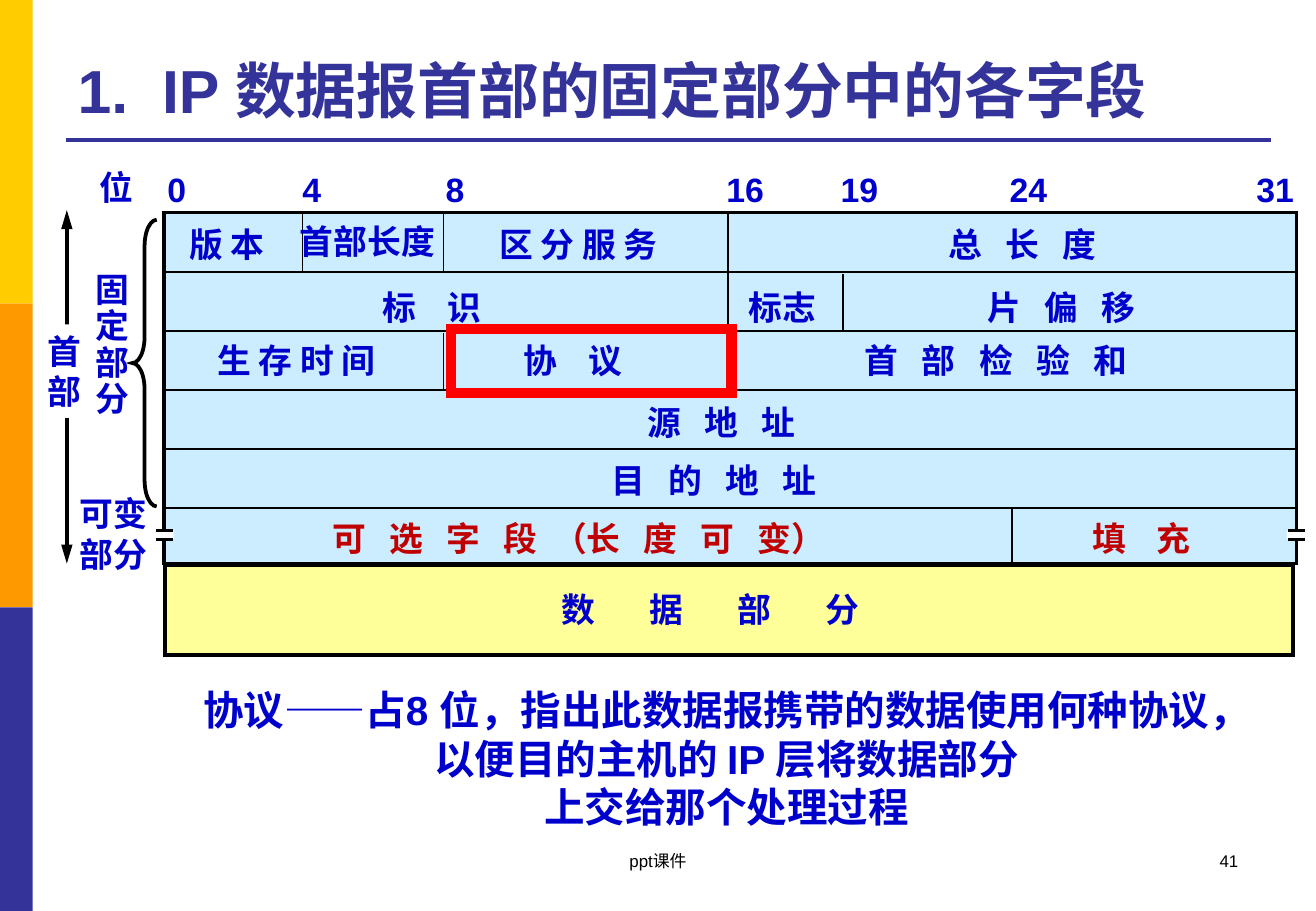
from dataclasses import dataclass
from itertools import cycle, groupby

from lxml.etree import SubElement
from pptx import Presentation
from pptx.dml.color import RGBColor
from pptx.enum.shapes import MSO_CONNECTOR as Link, MSO_SHAPE as Preset
from pptx.enum.text import MSO_ANCHOR as Anchor, MSO_AUTO_SIZE as Fit, PP_ALIGN as Align
from pptx.oxml.ns import qn
from pptx.util import Inches, Pt

COLORS = {
    "gold": "FFCC00", "orange": "FF9900", "indigo": "333399", "blue": "0000CC",
    "sky": "CCECFF", "lemon": "FFFF99", "crimson": "C00000", "red": "FF0000",
    "black": "000000", "white": "FFFFFF",
}


@dataclass
class Block:
    left: float
    top: float
    width: float
    height: float
    fill: str = ""
    line: str = ""
    weight: float = 0
    preset: Preset = Preset.RECTANGLE


@dataclass
class Rule:
    x1: float
    y1: float
    x2: float
    y2: float
    weight: float = 1
    color: str = "black"
    arrows: bool = False


@dataclass
class Label:
    left: float
    top: float
    width: float
    lines: tuple[str, ...]
    height: float = 0.44
    gaps: tuple[float, ...] = (0,)  # extra points on successive spaces, repeating
    color: str = "blue"
    size: float = 20
    bold: bool = True
    align: Align = Align.LEFT
    leading: float = 1.0
    anchor: Anchor = Anchor.TOP
    wrap: bool = False
    fit: Fit = Fit.SHAPE_TO_FIT_TEXT


def rgb(name: str) -> RGBColor:
    return RGBColor.from_string(COLORS[name])


def draw_block(page, block: Block):
    shape = page.shapes.add_shape(block.preset, Inches(block.left), Inches(block.top),
                                  Inches(block.width), Inches(block.height))
    shape.shadow.inherit = False
    if block.fill:
        shape.fill.solid()
        shape.fill.fore_color.rgb = rgb(block.fill)
    else:
        shape.fill.background()
    if block.line:
        shape.line.color.rgb = rgb(block.line)
        shape.line.width = Pt(block.weight)
        SubElement(shape._element.spPr.find(qn("a:ln")), qn("a:miter"), lim="800000")
    else:
        shape.line.fill.background()
    return shape


def draw_rule(page, rule: Rule) -> None:
    link = page.shapes.add_connector(Link.STRAIGHT, Inches(rule.x1), Inches(rule.y1),
                                     Inches(rule.x2), Inches(rule.y2))
    link.line.color.rgb = rgb(rule.color)
    link.line.width = Pt(rule.weight)
    props = link._element.spPr
    if rule.arrows:
        for end in ("a:headEnd", "a:tailEnd"):
            SubElement(props.find(qn("a:ln")), qn(end), type="triangle", len="lg")
    SubElement(props, qn("a:effectLst"))


def split_spans(text: str, gaps: tuple[float, ...]) -> list[tuple[str, float]]:
    """Separate the spaces from the words, so that only spaces are widened."""
    if not any(gaps):
        return [(text, 0)]
    widths = cycle(gaps)
    return [("".join(chars), next(widths) if is_space else 0)
            for is_space, chars in groupby(text, str.isspace)]


def draw_label(page, label: Label) -> None:
    box = page.shapes.add_textbox(Inches(label.left), Inches(label.top),
                                  Inches(label.width), Inches(label.height))
    frame = box.text_frame
    frame_format = {"word_wrap": label.wrap, "auto_size": label.fit,
                    "vertical_anchor": label.anchor}
    for name, value in frame_format.items():
        setattr(frame, name, value)
    font_format = {"name": "Arial", "size": Pt(label.size), "bold": label.bold}
    for index, line in enumerate(label.lines):
        para = frame.add_paragraph() if index else frame.paragraphs[0]
        para.alignment = label.align
        para.line_spacing = label.leading
        for text, gap in split_spans(line, label.gaps):
            span = para.add_run()
            span.text = text
            for name, value in font_format.items():
                setattr(span.font, name, value)
            span.font.color.rgb = rgb(label.color)
            if gap:
                span._r.get_or_add_rPr().set("spc", str(round(gap * 100)))


# Header grid: row lines and the columns where fields meet
ROWS = [2.24 + 0.485 * row for row in range(5)]
GRID = [Rule(1.34, y, 10.68, y) for y in ROWS] + [
    Rule(x, y1, x, y2) for x, y1, y2 in (
        (2.49, 1.76, 2.24), (3.65, 1.76, 2.24), (3.65, 2.74, 3.21),
        (5.99, 1.76, 3.21), (6.94, 2.26, 2.73), (8.33, 4.18, 4.66))]

BIT_MARKS = {"0": 1.28, "4": 2.39, "8": 3.57, "16": 5.88, "19": 6.82, "24": 8.21, "31": 10.24}

# Extra width on a space, in steps of one space
STEP = 4.6
WIDE, WIDER, WIDEST = (2 * STEP,), (3 * STEP,), (6 * STEP,)
FIELDS = [
    Label(1.46, 1.79, 0.84, ("版 本",)),
    Label(2.37, 1.77, 1.32, ("首部长度",)),
    Label(4.01, 1.79, 1.56, ("区 分 服 务",)),
    Label(7.71, 1.79, 1.51, ("总 长 度",), gaps=WIDE),
    Label(3.05, 2.31, 1.07, ("标 识",), gaps=WIDER),
    Label(6.06, 2.31, 0.76, ("标志",)),
    Label(8.03, 2.31, 1.51, ("片 偏 移",), gaps=WIDE),
    Label(1.69, 2.75, 1.56, ("生 存 时 间",)),
    Label(4.21, 2.75, 1.07, ("协 议",), gaps=WIDER),
    Label(7.02, 2.75, 2.54, ("首 部 检 验 和",), gaps=WIDE),
    Label(5.23, 3.26, 1.51, ("源 地 址",), gaps=WIDE),
    Label(4.93, 3.74, 2.02, ("目 的 地 址",), gaps=WIDE),
    Label(2.64, 4.21, 5.2, ("可 选 字 段 （长 度 可 变）",), color="crimson",
          gaps=WIDE * 3 + (STEP,) + WIDE * 3, wrap=True),
    Label(8.89, 4.21, 1.07, ("填 充",), gaps=WIDER, color="crimson"),
    Label(4.52, 4.8, 3.45, ("数 据 部 分",), gaps=WIDEST, wrap=True),
]

SIDE_LABELS = [
    Label(0.72, 1.32, 0.48, ("位",)),
    Label(0.69, 2.2, 0.48, tuple("固定部分"), height=1.31, leading=0.9),
    Label(0.56, 4.01, 0.76, ("可变", "部分"), height=0.77),
    Label(0.29, 2.67, 0.48, tuple("首部"), height=0.77),
]

TEXTS = [
    Label(0.54, 0.21, 9.91, ("1. IP 数据报首部的固定部分中的各字段",), height=0.87, size=36,
          gaps=(10, 0), color="indigo", anchor=Anchor.BOTTOM, wrap=True, fit=Fit.NONE),
    Label(1.46, 5.59, 9.04, ("协议——占8 位，指出此数据报携带的数据使用何种协议，",
                             "以便目的主机的 IP 层将数据部分", "上交给那个处理过程"),
          height=1.31, size=24, align=Align.CENTER, wrap=True),
    Label(3.7, 6.95, 3.43, ("ppt课件",), height=0.5, size=10, bold=False,
          color="black", align=Align.CENTER, wrap=True, fit=Fit.NONE),
    Label(7.76, 6.95, 2.53, ("41",), height=0.5, size=10, bold=False,
          color="black", align=Align.RIGHT, wrap=True, fit=Fit.NONE),
]


def main() -> None:
    deck = Presentation()
    deck.slide_width, deck.slide_height = Inches(10.83), Inches(7.5)
    page = deck.slides.add_slide(deck.slide_layouts[6])

    # Side stripes and title rule
    for index, color in enumerate(("gold", "orange", "indigo")):
        draw_block(page, Block(0, 2.5 * index, 0.27, 2.5, color))
    draw_rule(page, Rule(0.54, 1.15, 10.46, 1.15, 2.25, "indigo"))

    # Datagram header and data part
    draw_block(page, Block(1.35, 1.75, 9.32, 2.89, "sky", "black", 2))
    draw_block(page, Block(1.36, 4.65, 9.28, 0.74, "lemon", "black", 2.25))
    for rule in GRID:
        draw_rule(page, rule)

    # Break marks on the variable-length row
    for left in (1.27, 10.59):
        draw_block(page, Block(left, 4.37, 0.16, 0.07, "white"))
        for y in (4.37, 4.44):
            draw_rule(page, Rule(left + 0.01, y, left + 0.15, y, 2))

    # Header extent arrow and fixed-part brace
    draw_rule(page, Rule(0.55, 1.73, 0.55, 4.64, 2.25, arrows=True))
    draw_block(page, Block(0.29, 2.67, 0.48, 0.77, "white"))
    brace = draw_block(page, Block(1.09, 1.81, 0.2, 2.36, "", "black", 2.25, Preset.LEFT_BRACE))
    brace.adjustments[0] = 1.08

    # Wording
    marks = [Label(x, 1.34, 0.36 if len(bit) == 1 else 0.51, (bit,))
             for bit, x in BIT_MARKS.items()]
    for label in marks + FIELDS + SIDE_LABELS + TEXTS:
        draw_label(page, label)

    # Protocol field highlight
    draw_block(page, Block(3.71, 2.71, 2.31, 0.53, "", "red", 6))

    deck.save("out.pptx")


if __name__ == "__main__":
    main()
